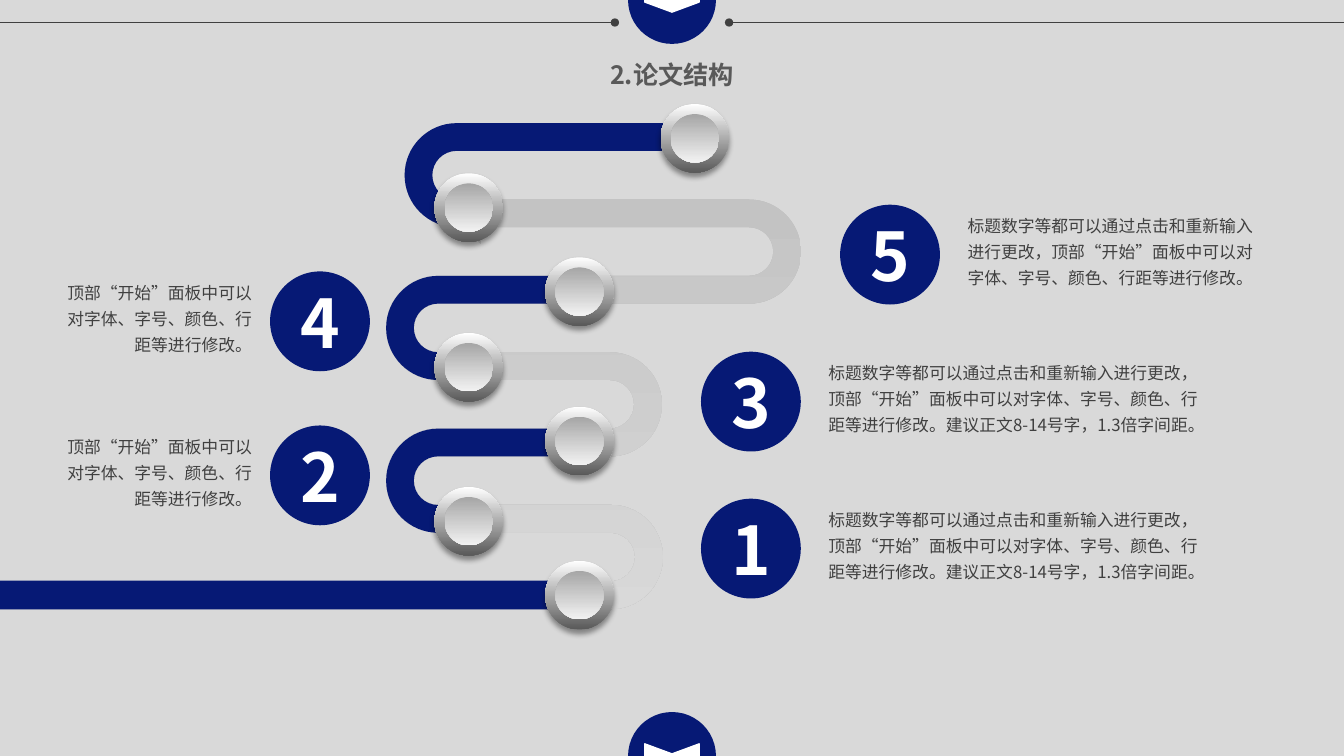
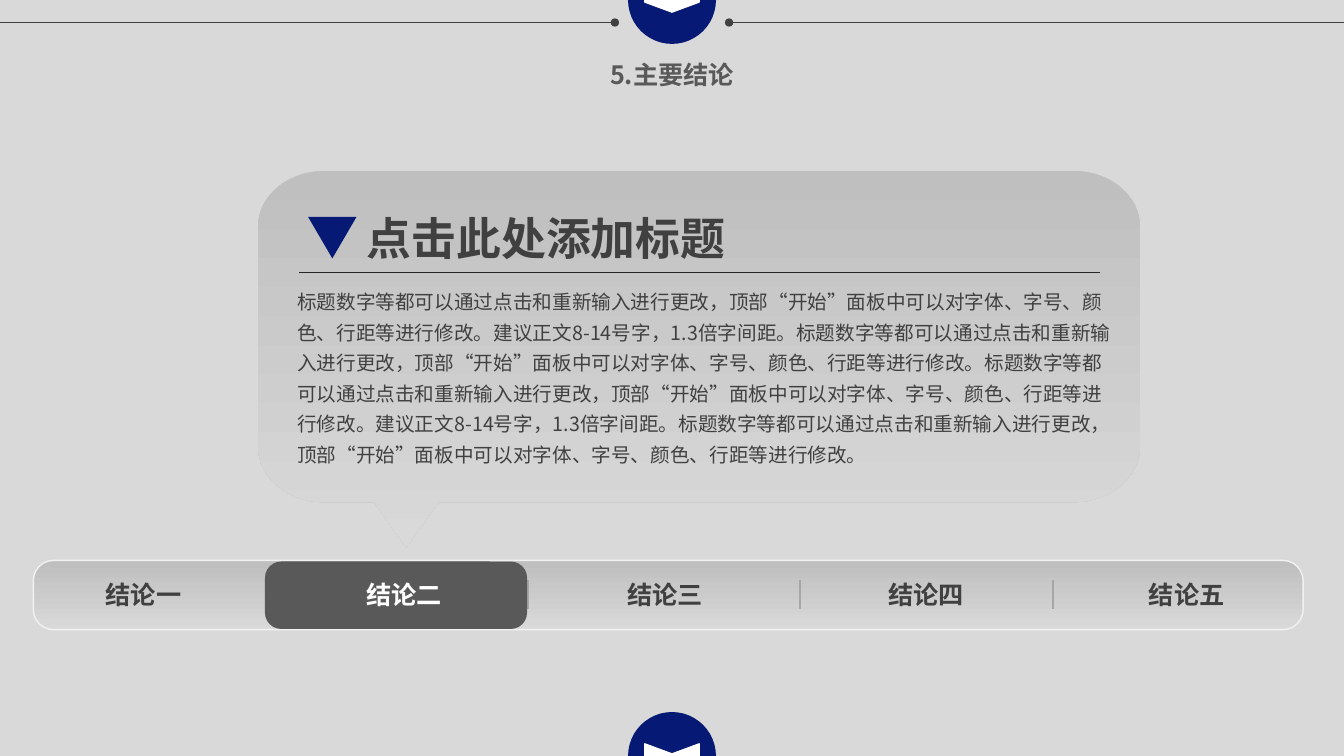
import pptx
import pptx.dml.color
import pptx.enum.lang
import pptx.enum.shapes
import pptx.enum.text
import pptx.oxml.ns
import pptx.util
from lxml import etree

Pt = pptx.util.Pt
SHAPE = pptx.enum.shapes.MSO_SHAPE
ALIGN = pptx.enum.text.PP_ALIGN
ANCHOR = pptx.enum.text.MSO_ANCHOR
qn = pptx.oxml.ns.qn

FONT = "Noto Sans CJK SC"
WIDTH, HEIGHT = 960, 540
COLORS = {
    "page": "D9D9D9", "navy": "061975", "white": "FFFFFF", "text": "404040",
    "title": "595959", "rule": "262626", "silver": "BFBFBF", "gray": "A6A6A6",
    "pale": "F2F2F2",
}

CHANGE = "标题数字等都可以通过点击和重新输入进行更改，"
PANEL = "顶部“开始”面板中可以对字体、字号、颜色、行距等进行修改。"
ADVICE = "建议正文8-14号字，1.3倍字间距。"


# Basic parts
def rgb(name):
    return pptx.dml.color.RGBColor.from_string(COLORS[name])


def paint(sp, fill, line=None, first_stop=0):
    """Fill with one colour name, or with a (top, bottom) pair as a gradient."""
    sp.shadow.inherit = False
    if isinstance(fill, tuple):
        sp.fill.gradient()
        sp.fill.gradient_angle = 270
        for stop, name, at in zip(sp.fill.gradient_stops, fill, (first_stop, 1)):
            stop.color.rgb = rgb(name)
            stop.position = at
    else:
        sp.fill.solid()
        sp.fill.fore_color.rgb = rgb(fill)
    if line:
        sp.line.color.rgb = rgb(line)
        sp.line.width = Pt(1)
    else:
        sp.line.fill.background()
    return sp


def add_shape(s, kind, x, y, w, h, fill, line=None, adj=None, first_stop=0):
    sp = s.shapes.add_shape(kind, Pt(x), Pt(y), Pt(w), Pt(h))
    if adj is not None:
        sp.adjustments[0] = adj
    return paint(sp, fill, line, first_stop)


def add_circle(s, cx, cy, radius, fill):
    return add_shape(s, SHAPE.OVAL, cx - radius, cy - radius,
                     2 * radius, 2 * radius, fill)


def quarter(start, corner, end):
    """Bezier points of a quarter ellipse tangent to the corner's two sides."""
    k = 0.5523
    c1, c2 = (tuple(a + k * (b - a) for a, b in zip(p, corner))
              for p in (start, end))
    return [c1, c2, end]


def add_outline(s, steps, fill, first_stop=0):
    """Each step is a point for a line, or a list of three for a curve."""
    points = []
    for step in steps:
        points += step if isinstance(step, list) else [step]
    pts = [(Pt(x), Pt(y)) for x, y in points]
    builder = s.shapes.build_freeform(*pts[0], scale=1.0)
    builder.add_line_segments(pts[1:], close=True)
    sp = builder.convert_to_shape()
    segments = iter(list(sp._element.iter(qn("a:lnTo"))))
    for step in steps[1:]:
        first = next(segments)
        if isinstance(step, list):
            curve = etree.Element(qn("a:cubicBezTo"))
            first.addprevious(curve)
            for segment in (first, next(segments), next(segments)):
                curve.append(segment[0])
                segment.getparent().remove(segment)
    return paint(sp, fill, first_stop=first_stop)


def add_line(s, x1, y1, x2, y2, color, width, dot=False):
    cxn = s.shapes.add_connector(pptx.enum.shapes.MSO_CONNECTOR.STRAIGHT,
                                 Pt(x1), Pt(y1), Pt(x2), Pt(y2))
    cxn.line.color.rgb = rgb(color)
    cxn.line.width = Pt(width)
    sp_pr = cxn._element.spPr
    if dot:
        etree.SubElement(sp_pr.find(qn("a:ln")), qn("a:tailEnd"), type="oval")
    etree.SubElement(sp_pr, qn("a:effectLst"))


def write(sp, text, size, color, bold=False, align=ALIGN.LEFT, spacing=None,
          wrap=True):
    tf = sp.text_frame
    tf.word_wrap = wrap
    p = tf.paragraphs[0]
    p.alignment = align
    if spacing:
        p.line_spacing = spacing
    r = p.add_run()
    r.text = text
    r.font.size = Pt(size)
    r.font.bold = bold
    r.font.name = FONT
    r.font.color.rgb = rgb(color)
    r.font.language_id = pptx.enum.lang.MSO_LANGUAGE_ID.SIMPLIFIED_CHINESE
    latin = r.font._element.find(qn("a:latin"))
    latin.addnext(etree.Element(qn("a:ea"), typeface=FONT))


def add_text(s, x, y, w, h, text, size, color="text", **style):
    sp = s.shapes.add_textbox(Pt(x), Pt(y), Pt(w), Pt(h))
    sp.text_frame.auto_size = pptx.enum.text.MSO_AUTO_SIZE.SHAPE_TO_FIT_TEXT
    write(sp, text, size, color, **style)


# Shared frame: background, top rules, title, medallions
def add_medallion(s, cy):
    cx, w, h = WIDTH / 2, 17.3, 38.9
    add_circle(s, cx, cy, 31.4, "navy")
    sp = add_shape(s, SHAPE.CHEVRON, cx - w / 2, cy - h / 2, w, h,
                   "white", "white", 0.415)
    sp.rotation = 90


def new_slide(prs, title):
    s = prs.slides.add_slide(prs.slide_layouts[6])
    s.background.fill.solid()
    s.background.fill.fore_color.rgb = rgb("page")
    for edge, end in ((0, 439.2), (WIDTH, 520.8)):
        add_line(s, edge, 16.1, end, 16.1, "text", 1, dot=True)
    add_text(s, 396.5, 38.9, 167, 29, title, 18, "title",
             bold=True, align=ALIGN.CENTER)
    for cy in (0, HEIGHT):
        add_medallion(s, cy)
    return s


# Winding road: lanes at equal gaps, joined by half-circle turns
LANE_TOP, LANE_GAP, HALF_ROAD = 97.9, 54.55, 9.9
ARROW, BARB = 21.5, 11.8
TURN_X = [326.2, 535, 313, 435.6, 313, 436.3]
BARB_X = [343.4, 415.6, 332.9, 416, 333.2, 409.7]


def lane(i):
    return LANE_TOP + i * LANE_GAP


def road_edge(start, end, turns, d, barbs):
    """One edge of the road; d is 1 or -1 for its side of the centre line."""
    def side(i):
        return 1 if i % 2 else -1

    first = lane(turns[0])
    off = -d * side(turns[0])
    steps = [(start, first + off * ARROW), (start, first + off * HALF_ROAD)]
    for i in turns:
        radius = LANE_GAP / 2 + d * side(i) * HALF_ROAD
        cx, cy = TURN_X[i], lane(i) + LANE_GAP / 2
        far = cx + side(i) * radius
        top, bottom = cy - radius, cy + radius
        steps += [(cx, top), quarter((cx, top), (far, top), (far, cy)),
                  quarter((far, cy), (far, bottom), (cx, bottom))]
        if barbs:
            x = BARB_X[i]
            steps += [(x + side(i) * BARB, bottom),
                      (x, bottom + d * side(i) * BARB), (x, bottom)]
    steps.append((end, lane(turns[-1] + 1) + d * side(turns[-1]) * HALF_ROAD))
    return steps


def backwards(steps):
    """The same line and curve steps, walked from the last point."""
    result, pending = [], None
    for step in reversed(steps):
        point = step[2] if isinstance(step, list) else step
        if pending:
            result.append([pending[1], pending[0], point])
        else:
            result.append(point)
        pending = step if isinstance(step, list) else None
    return result


def add_road(s, start, end, turns, fill, barbs=False):
    outer, inner = (road_edge(start, end, turns, d, barbs) for d in (1, -1))
    tip = (start + ARROW, lane(turns[0]))
    add_outline(s, [tip] + outer + backwards(inner), fill, 0.03)


def add_button(s, cx, cy):
    rim = add_circle(s, cx, cy, 24.5, ("white", "title"))
    effects = rim._element.spPr.find(qn("a:effectLst"))
    shadow = etree.SubElement(
        effects, qn("a:outerShdw"), blurRad=str(Pt(4)), dist=str(Pt(3)),
        dir="5400000", algn="t", rotWithShape="0")
    black = etree.SubElement(shadow, qn("a:srgbClr"), val="000000")
    etree.SubElement(black, qn("a:alpha"), val="40000")
    add_circle(s, cx, cy, 17.3, ("gray", "pale"))


def add_winding_road(s):
    add_road(s, 492.5, 0, range(6), ("silver", "page"), barbs=True)
    for i, start in ((0, 492.5), (2, 416.5), (4, 416.5)):
        add_road(s, start, TURN_X[i], [i], "navy")
    add_shape(s, SHAPE.ROUNDED_RECTANGLE, 0, 414.7, 412.6, 20.6, "navy", adj=0)
    for cx, cy in ((413.9, 425.1), (413.9, 315), (413.9, 208.3),
                   (334.8, 262.3), (334.8, 372.3), (496.3, 98.8),
                   (334.8, 148.3)):
        add_button(s, cx, cy)


# Numbered point: a disc with its text to the right or the left
def add_point(s, number, x, y, text, width, on_left=False):
    disc = 71.3
    sp = add_shape(s, SHAPE.OVAL, x, y, disc, disc, "navy")
    sp.text_frame.vertical_anchor = ANCHOR.MIDDLE
    write(sp, number, 48, "white", bold=True, align=ALIGN.CENTER)
    left = x - 5.8 - width if on_left else x + disc + 12.6
    add_text(s, left, y, width, 71.3 if on_left else 64, text, 12, spacing=1.3,
             align=ALIGN.RIGHT if on_left else ALIGN.LEFT)


def structure_slide(prs):
    s = new_slide(prs, "2.论文结构")
    add_winding_road(s)
    full = CHANGE + PANEL + ADVICE
    add_point(s, "1", 500.7, 356.2, full, 289.5)
    add_point(s, "2", 192.9, 303.9, PANEL, 155.5, on_left=True)
    add_point(s, "3", 500.7, 251.2, full, 289.5)
    add_point(s, "4", 192.9, 193.9, PANEL, 155.5, on_left=True)
    add_point(s, "5", 600.1, 146.2, CHANGE + PANEL, 226)


# Speech bubble with heading and body
def add_bubble(s, x, y, w, h):
    rx, ry = 47.5, 39.6
    r, b = x + w, y + h
    add_outline(s, [
        (x + rx, y), (r - rx, y), quarter((r - rx, y), (r, y), (r, y + ry)),
        (r, b - ry), quarter((r, b - ry), (r, b), (r - rx, b)),
        (x + 129, b), (x + 105.8, b + 32.4), (x + 82.8, b),
        (x + rx, b), quarter((x + rx, b), (x, b), (x, b - ry)),
        (x, y + ry), quarter((x, y + ry), (x, y), (x + rx, y)),
    ], ("silver", "page"))

    add_text(s, x + 70.6, y + 24.9, 428, 46, "点击此处添加标题", 32, bold=True)
    body = (CHANGE + PANEL + ADVICE + CHANGE + PANEL) * 2
    add_text(s, x + 20.9, y + 76.7, 600, 160, body, 14, spacing=1.3)
    add_line(s, x + 29.5, y + 72.8, x + 601.7, y + 72.8, "rule", 0.5)
    marker = add_shape(s, SHAPE.ISOSCELES_TRIANGLE, x + 35.8, y + 33,
                       34.5, 29.6, "navy")
    marker.rotation = 180


# Tab bar with the second tab selected
def add_tabs(s, x, y, w, h):
    add_shape(s, SHAPE.ROUNDED_RECTANGLE, x, y, w, h,
              ("silver", "page"), "pale", 0.291, 0.03)
    for divider in (353, 547.5, 728.2, 166.2):
        for shift, color in ((0.4, "white"), (0, "gray")):
            at = x + divider + shift
            add_line(s, at, y + 14.2, at, y + 34.5, color, 1.5)
    add_shape(s, SHAPE.ROUNDED_RECTANGLE, x + 165.5, y + 0.8, 187.2, 48.2,
              "title", adj=0.241)
    for i, numeral in enumerate("一二三四五"):
        add_text(s, x + 44.6 + i * 186.3, y + 10.1, 69.1, 29, "结论" + numeral,
                 18, "white" if i == 1 else "text", bold=True, wrap=False)


def conclusion_slide(prs):
    s = new_slide(prs, "5.主要结论")
    add_tabs(s, 23.8, 400.3, 907, 49.5)
    add_bubble(s, 184.3, 122, 630, 236.7)


def main():
    prs = pptx.Presentation()
    prs.slide_width, prs.slide_height = Pt(WIDTH), Pt(HEIGHT)
    structure_slide(prs)
    conclusion_slide(prs)
    prs.save("out.pptx")


if __name__ == "__main__":
    main()
